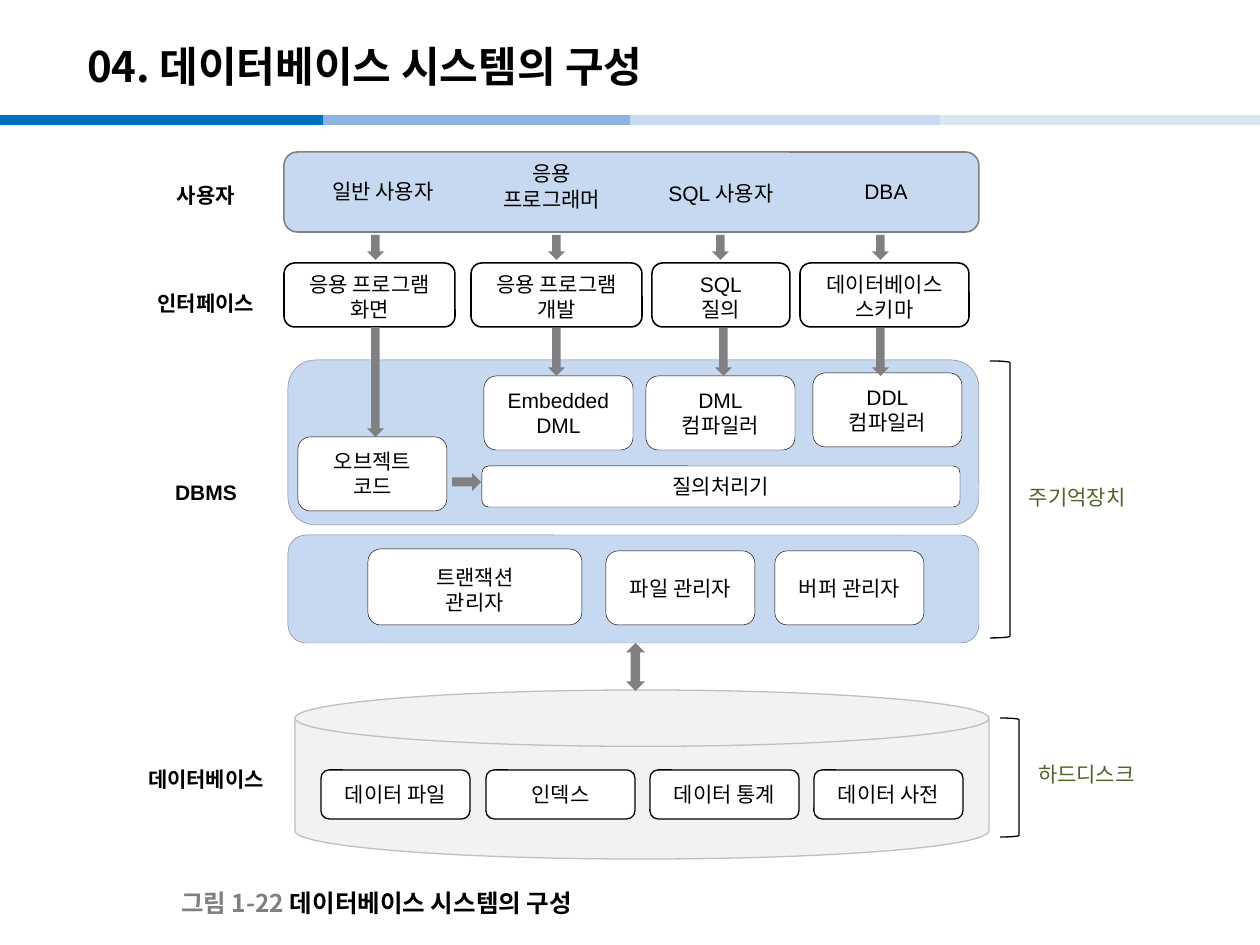
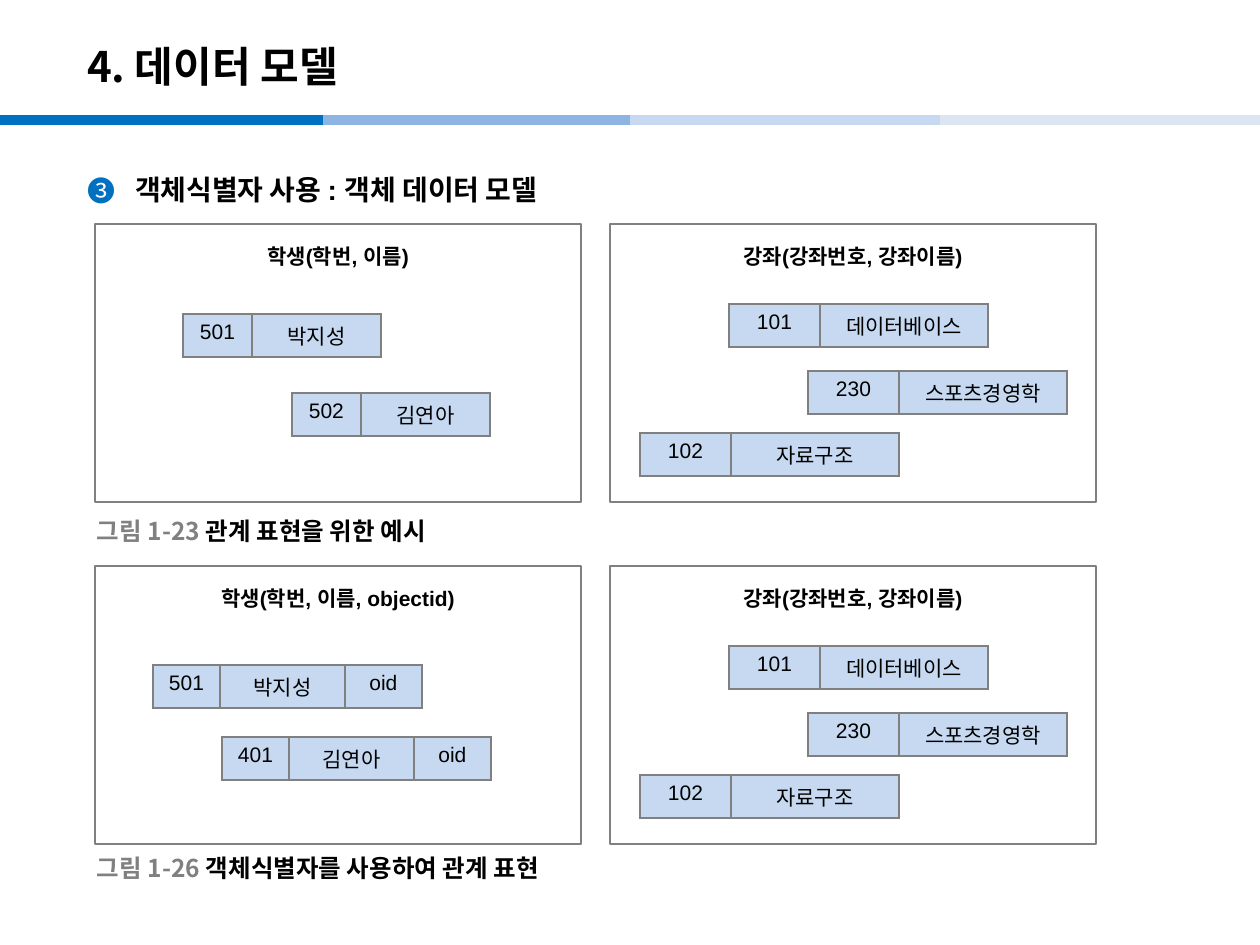
from lxml import etree
from pptx import Presentation
from pptx import util as u
from pptx.dml.color import RGBColor
from pptx.enum import shapes, text
from pptx.oxml.ns import qn

PX = u.Inches(1) / 126
SANS, KOREAN = "Arial", "Noto Sans CJK KR"
BLACK = RGBColor(0x00, 0x00, 0x00)
WHITE = RGBColor(0xFF, 0xFF, 0xFF)
GRAY = RGBColor(0x80, 0x80, 0x80)
SILVER = RGBColor(0xBF, 0xBF, 0xBF)
PALE_GRAY = RGBColor(0xF2, 0xF2, 0xF2)
GREEN = RGBColor(0x4F, 0x62, 0x28)
BLUE = RGBColor(0x00, 0x70, 0xC0)
MID_BLUE = RGBColor(0x8E, 0xB4, 0xE3)
LIGHT_BLUE = RGBColor(0xC6, 0xD9, 0xF1)
PALE_BLUE = RGBColor(0xDC, 0xE6, 0xF2)
KIND = shapes.MSO_SHAPE
LEFT, CENTER = text.PP_ALIGN.LEFT, text.PP_ALIGN.CENTER
TOP, MIDDLE = text.MSO_ANCHOR.TOP, text.MSO_ANCHOR.MIDDLE


def add_box(slide, kind, box, fill=None, line=None, width=0.75):
    """Add a preset shape, or a text box when kind is None; box is in px."""
    place = [int(length * PX) for length in box]
    if kind is None:
        return slide.shapes.add_textbox(*place)
    shape = slide.shapes.add_shape(kind, *place)
    shape.shadow.inherit = False
    if fill is None:
        shape.fill.background()
    else:
        shape.fill.solid()
        shape.fill.fore_color.rgb = fill
    if line is None:
        shape.line.fill.background()
    else:
        shape.line.color.rgb = line
        shape.line.width = u.Pt(width)
    return shape


def write_text(frame, lines, size=12, font=SANS, bold=False, align=CENTER,
               anchor=MIDDLE, drop=0, leading=1.2):
    """Write lines of (words, colour) runs; drop is the top margin in px."""
    frame.word_wrap = True
    frame.vertical_anchor = anchor
    frame.margin_left = frame.margin_right = frame.margin_bottom = 0
    frame.margin_top = int(drop * PX)
    for number, line in enumerate(lines):
        paragraph = frame.add_paragraph() if number else frame.paragraphs[0]
        paragraph.alignment = align
        if leading:
            paragraph.line_spacing = u.Pt(size * leading)
        for words, color in line:
            run = paragraph.add_run()
            run.text = words
            run.font.size = u.Pt(size)
            run.font.name = font
            run.font.bold = bold
            run.font.color.rgb = color
            east_asian = etree.SubElement(run.font._element, qn("a:ea"))
            east_asian.set("typeface", KOREAN)


presentation = Presentation()
presentation.slide_width = int(1260 * PX)
presentation.slide_height = int(945 * PX)

# Title, colour band and figure captions of both slides
pages = [
    ("04. 데이터베이스 시스템의 구성",
     [(181, 883, "그림 1-22 ", "데이터베이스 시스템의 구성")]),
    ("4. 데이터 모델",
     [(97, 511, "그림 1-23 ", "관계 표현을 위한 예시"),
      (97, 848, "그림 1-26 ", "객체식별자를 사용하여 관계 표현")]),
]
for title, captions in pages:
    slide = presentation.slides.add_slide(presentation.slide_layouts[6])
    for start, end, color in [(0, 323, BLUE), (323, 645, MID_BLUE),
                              (630, 953, LIGHT_BLUE), (940, 1260, PALE_BLUE)]:
        band = slide.shapes.add_connector(
            shapes.MSO_CONNECTOR.STRAIGHT,
            int(start * PX), int(120 * PX), int(end * PX), int(120 * PX))
        band.line.color.rgb = color
        band.line.width = u.Pt(6)
        etree.SubElement(band._element.spPr, qn("a:effectLst"))
    title_box = add_box(slide, None, (87, 28, 1030, 76))
    write_text(title_box.text_frame, [[(title, BLACK)]], 24, KOREAN, True, LEFT,
               leading=None)
    for x, y, figure, caption in captions:
        caption_box = add_box(slide, None, (x, y, 800, 39))
        write_text(caption_box.text_frame, [[(figure, GRAY), (caption, BLACK)]],
                   14, KOREAN, True, LEFT, leading=None)
system_slide, model_slide = presentation.slides

# Slide 1: layers of the database system
add_box(system_slide, KIND.FLOWCHART_MAGNETIC_DISK, (295, 690, 694, 169),
        PALE_GRAY, SILVER)
for box, width in [((284, 152, 695, 80), 0.88), ((288, 360, 691, 165), 0.25),
                   ((288, 535, 691, 108), 0.25)]:
    add_box(system_slide, KIND.ROUNDED_RECTANGLE, box, LIGHT_BLUE, GRAY, width)

components = [
    ((284, 263, 171, 64), 0.88, 3, ["응용 프로그램", "화면"]),
    ((471, 263, 171, 64), 0.88, 3, ["응용 프로그램", "개발"]),
    ((652, 263, 138, 64), 0.88, 3, ["SQL", "질의"]),
    ((800, 263, 169, 64), 0.88, 3, ["데이터베이스", "스키마"]),
    ((298, 437, 149, 74), 0.25, 0, ["오브젝트", "코드"]),
    ((484, 376, 149, 74), 0.25, 0, ["Embedded", "DML"]),
    ((646, 376, 149, 74), 0.25, 0, ["DML", "컴파일러"]),
    ((813, 373, 149, 74), 0.25, 0, ["DDL", "컴파일러"]),
    ((482, 466, 478, 41), 0.25, 0, ["질의처리기"]),
    ((368, 549, 214, 76), 0.25, 6, ["트랜잭션", "관리자"]),
    ((606, 551, 149, 74), 0.25, 0, ["파일 관리자"]),
    ((775, 551, 149, 74), 0.25, 0, ["버퍼 관리자"]),
    ((321, 770, 149, 49), 0.75, 0, ["데이터 파일"]),
    ((486, 770, 149, 49), 0.75, 0, ["인덱스"]),
    ((650, 770, 149, 49), 0.75, 0, ["데이터 통계"]),
    ((814, 770, 149, 49), 0.75, 0, ["데이터 사전"]),
]
for box, width, drop, lines in components:
    component = add_box(system_slide, KIND.ROUNDED_RECTANGLE, box, WHITE, BLACK, width)
    write_text(component.text_frame, [[(line, BLACK)] for line in lines], drop=drop)

layer_names = [("사용자", 183), ("인터페이스", 291), ("DBMS", 480), ("데이터베이스", 767)]
users = [(383, 179, ["일반 사용자"]), (552, 161, ["응용", "프로그래머"]),
         (721, 181, ["SQL 사용자"]), (886, 179, ["DBA"])]
labels = [(206, y, [name], True) for name, y in layer_names]
labels += [(*user, False) for user in users]
for center, y, lines, bold in labels:
    label = add_box(system_slide, None, (center - 70, y, 140, 25 * len(lines)))
    write_text(label.text_frame, [[(line, BLACK)] for line in lines],
               bold=bold, anchor=TOP)

arrows = [(KIND.DOWN_ARROW, (x, 235, 17, 25)) for x in (367, 548, 712, 872)]
arrows += [(KIND.DOWN_ARROW, (x, 328, 17, 48)) for x in (548, 715, 872)]
arrows += [(KIND.DOWN_ARROW, (367, 327, 17, 110)),
           (KIND.RIGHT_ARROW, (452, 473, 29, 18)),
           (KIND.UP_DOWN_ARROW, (626, 643, 19, 48))]
for kind, box in arrows:
    add_box(system_slide, kind, box, GRAY)

storage = [((990, 361, 20, 277), (1029, 485), "주기억장치", SANS),
           ((1000, 718, 19, 119), (1038, 762), "하드디스크", KOREAN)]
for bracket, (x, y), name, font in storage:
    add_box(system_slide, KIND.RIGHT_BRACKET, bracket, line=BLACK)
    label = add_box(system_slide, None, (x, y, 160, 25))
    write_text(label.text_frame, [[(name, GREEN)]], font=font, align=LEFT, anchor=TOP)

# Slide 2: two figures, each with a student panel and a course panel
heading = add_box(model_slide, None, (87, 164, 1080, 50))
write_text(heading.text_frame, [[("객체식별자 사용 : 객체 데이터 모델", BLACK)]],
           16, bold=True, align=LEFT)
properties = heading.text_frame.paragraphs[0]._p.get_or_add_pPr()
properties.set("marL", str(int(48 * PX)))
properties.set("indent", str(int(-48 * PX)))
bullet_color = etree.SubElement(properties, qn("a:buClr"))
etree.SubElement(bullet_color, qn("a:srgbClr")).set("val", str(BLUE))
etree.SubElement(properties, qn("a:buFont")).set("typeface", KOREAN)
etree.SubElement(properties, qn("a:buChar")).set("char", "❸")

PANEL_TOP, FIGURE_STEP = 224, 342
COURSES = [(729, 80, ["101", "데이터베이스"]), (808, 147, ["230", "스포츠경영학"]),
           (640, 209, ["102", "자료구조"])]
figures = [
    ("학생(학번, 이름)", [69, 129],
     [(183, 90, ["501", "박지성"]), (292, 169, ["502", "김연아"])]),
    ("학생(학번, 이름, objectid)", [67, 125, 77],
     [(153, 99, ["501", "박지성", "oid"]), (222, 171, ["401", "김연아", "oid"])]),
]
for number, (student_schema, student_widths, students) in enumerate(figures):
    top = PANEL_TOP + number * FIGURE_STEP
    panels = [(95, student_schema, student_widths, students),
              (610, "강좌(강좌번호, 강좌이름)", [91, 168], COURSES)]
    for left, schema, widths, records in panels:
        panel = add_box(model_slide, KIND.RECTANGLE, (left, top, 486, 278),
                        WHITE, GRAY, 1.5)
        write_text(panel.text_frame, [[(schema, BLACK)]], bold=True,
                   anchor=TOP, drop=20)
        for x, offset, values in records:
            frame = model_slide.shapes.add_table(
                1, len(values), int(x * PX), int((top + offset) * PX),
                int(sum(widths) * PX), int(43 * PX))
            table = frame.table
            for column, (width, value) in enumerate(zip(widths, values)):
                table.columns[column].width = int(width * PX)
                cell = table.cell(0, column)
                write_text(cell.text_frame, [[(value, BLACK)]], leading=None)
                cell.margin_left = cell.margin_right = 0
                cell.margin_top = cell.margin_bottom = int(6 * PX)
                cell.vertical_anchor = TOP
                cell_properties = cell._tc.get_or_add_tcPr()
                for side in ("a:lnL", "a:lnR", "a:lnT", "a:lnB"):
                    border = etree.SubElement(cell_properties, qn(side))
                    border.set("w", str(u.Pt(1)))
                    border_fill = etree.SubElement(border, qn("a:solidFill"))
                    etree.SubElement(border_fill, qn("a:srgbClr")).set("val", str(GRAY))
                cell.fill.solid()
                cell.fill.fore_color.rgb = LIGHT_BLUE

presentation.save("out.pptx")
